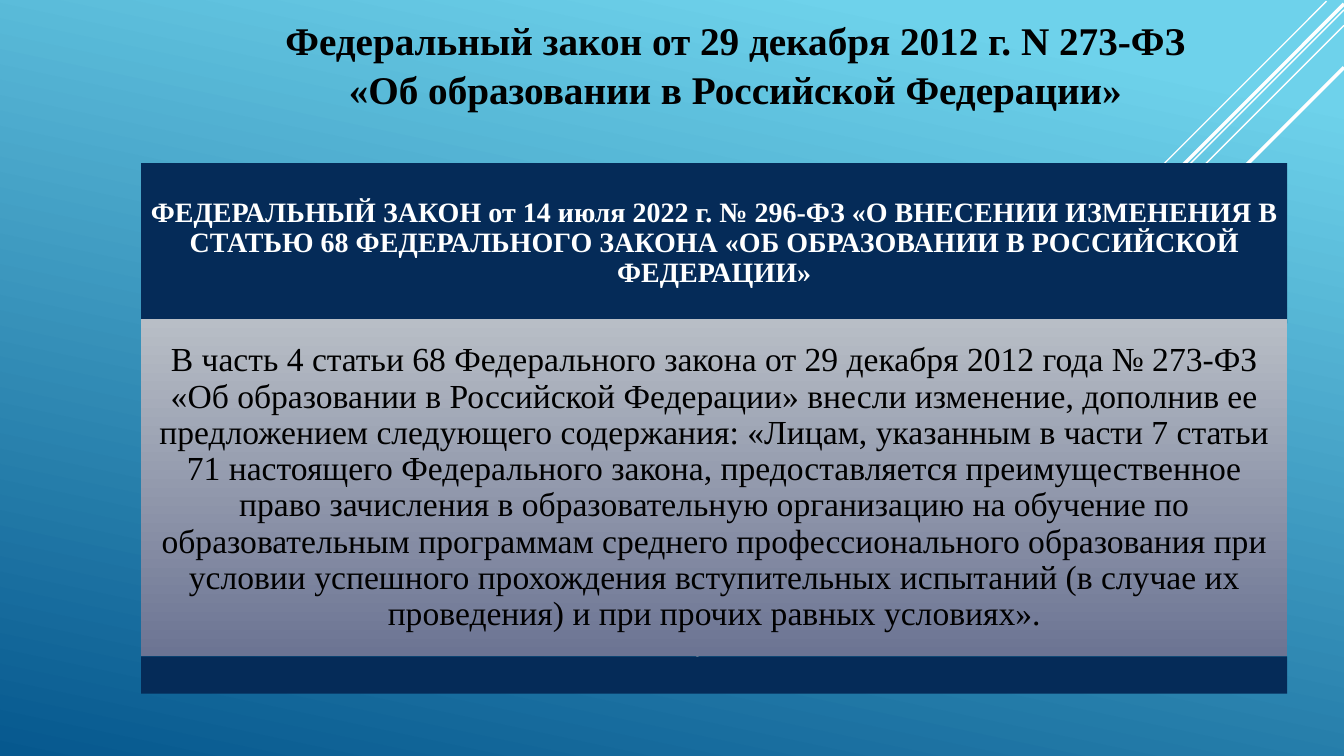
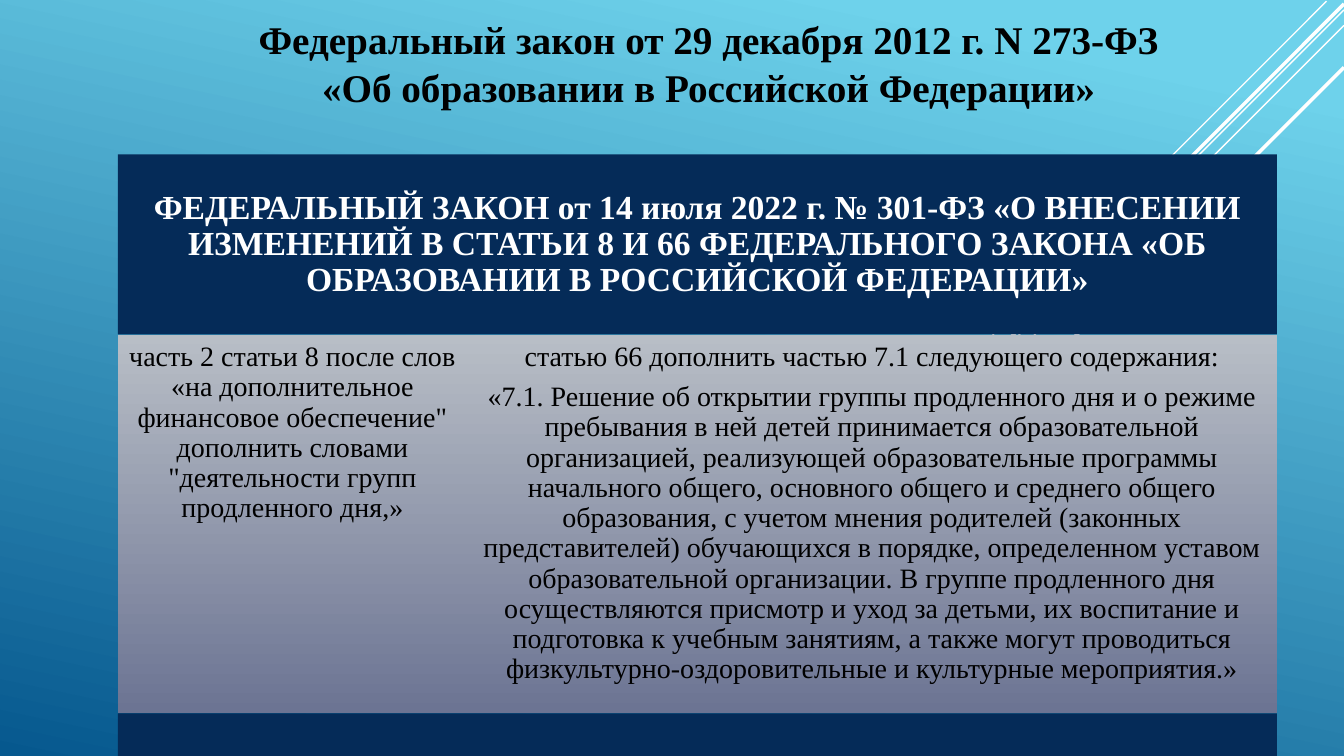
"""Build two slides on amendments to the federal law on education."""
from dataclasses import dataclass
from typing import Sequence

from lxml.etree import SubElement
from pptx import Presentation
from pptx.dml.color import RGBColor
from pptx.dml.fill import FillFormat
from pptx.enum.shapes import MSO_CONNECTOR as Connector, MSO_SHAPE as Shape
from pptx.enum.text import MSO_ANCHOR as Anchor, MSO_AUTO_SIZE as AutoSize, PP_ALIGN as Align
from pptx.oxml.ns import qn
from pptx.slide import Slide
from pptx.text.text import TextFrame
from pptx.util import Cm, Pt

COLORS = {
    "sky": "6ED2EB",
    "sea": "06588E",
    "navy": "052B58",
    "silver": "B8BEC6",
    "slate": "6C7493",
    "white": "FFFFFF",
    "black": "000000",
}
FONT = "Times New Roman"
TITLE_SIZE = 28
TITLE_LINES = (
    "Федеральный закон от 29 декабря 2012 г. N 273-ФЗ",
    "«Об образовании в Российской Федерации»",
)


@dataclass(frozen=True)
class Box:
    left: float
    top: float
    width: float
    height: float

    def lengths(self) -> tuple[Cm, Cm, Cm, Cm]:
        return Cm(self.left), Cm(self.top), Cm(self.width), Cm(self.height)


@dataclass(frozen=True)
class Ray:
    right: float
    top: float
    reach: float
    weight: float


@dataclass(frozen=True)
class Column:
    width: float
    paragraphs: Sequence[str]


@dataclass(frozen=True)
class LawSlide:
    title: Box
    heading: Box
    heading_text: str
    heading_size: int
    body_top: float
    body_height: float
    body_size: int
    body_anchor: Anchor
    columns: Sequence[Column]
    footer_height: float


RAYS = (
    Ray(33.43, 0.03, 10.58, 1),
    Ray(33.87, 0.25, 16.9, 1),
    Ray(33.87, 0.64, 13.77, 1),
    Ray(33.87, 0.1, 13.49, 2.5),
    Ray(33.87, 1.7, 12.07, 2.5),
)

LAWS = (
    LawSlide(
        title=Box(4.65, 0.23, 27.76, 3.1),
        heading=Box(3.56, 4.11, 28.88, 4.04),
        heading_text="ФЕДЕРАЛЬНЫЙ ЗАКОН от 14 июля 2022 г. № 296-ФЗ «О ВНЕСЕНИИ ИЗМЕНЕНИЯ "
        "В СТАТЬЮ 68 ФЕДЕРАЛЬНОГО ЗАКОНА «ОБ ОБРАЗОВАНИИ В РОССИЙСКОЙ ФЕДЕРАЦИИ»",
        heading_size=20,
        body_top=8.05,
        body_height=8.49,
        body_size=24,
        body_anchor=Anchor.MIDDLE,
        columns=(
            Column(28.88, (
                "В часть 4 статьи 68 Федерального закона от 29 декабря 2012 года № 273-ФЗ "
                "«Об образовании в Российской Федерации» внесли изменение, дополнив ее "
                "предложением следующего содержания: «Лицам, указанным в части 7 статьи 71 "
                "настоящего Федерального закона, предоставляется преимущественное право "
                "зачисления в образовательную организацию на обучение по образовательным "
                "программам среднего профессионального образования при условии успешного "
                "прохождения вступительных испытаний (в случае их проведения) и при прочих "
                "равных условиях».",
            )),
        ),
        footer_height=0.94,
    ),
    LawSlide(
        title=Box(5.13, 0.2, 25.45, 2.95),
        heading=Box(2.97, 3.89, 29.21, 4.54),
        heading_text="ФЕДЕРАЛЬНЫЙ ЗАКОН от 14 июля 2022 г. № 301-ФЗ «О ВНЕСЕНИИ ИЗМЕНЕНИЙ "
        "В СТАТЬИ 8 И 66 ФЕДЕРАЛЬНОГО ЗАКОНА «ОБ ОБРАЗОВАНИИ В РОССИЙСКОЙ ФЕДЕРАЦИИ»",
        heading_size=24,
        body_top=8.43,
        body_height=9.55,
        body_size=20,
        body_anchor=Anchor.TOP,
        columns=(
            Column(8.8, (
                "часть 2 статьи 8 после слов «на дополнительное финансовое обеспечение\" "
                "дополнить словами \"деятельности групп продленного дня,»",
            )),
            Column(20.41, (
                "статью 66 дополнить частью 7.1 следующего содержания:",
                "«7.1. Решение об открытии группы продленного дня и о режиме пребывания в ней "
                "детей принимается образовательной организацией, реализующей образовательные "
                "программы начального общего, основного общего и среднего общего образования, "
                "с учетом мнения родителей (законных представителей) обучающихся в порядке, "
                "определенном уставом образовательной организации. В группе продленного дня "
                "осуществляются присмотр и уход за детьми, их воспитание и подготовка к учебным "
                "занятиям, а также могут проводиться физкультурно-оздоровительные и культурные "
                "мероприятия.»",
            )),
        ),
        footer_height=1.07,
    ),
)


def color(name: str) -> RGBColor:
    return RGBColor.from_string(COLORS[name])


def fill_gradient(fill: FillFormat, names: Sequence[str], start: float, angle: float) -> None:
    fill.gradient()
    fill.gradient_angle = angle
    for stop, name, position in zip(fill.gradient_stops, names, (start, 1)):
        stop.color.rgb = color(name)
        stop.position = position


def add_text(frame: TextFrame, paragraphs: Sequence[str], size: int, ink: str, bold: bool) -> None:
    for index, text in enumerate(paragraphs):
        paragraph = frame.add_paragraph() if index else frame.paragraphs[0]
        paragraph.alignment = Align.CENTER
        paragraph.line_spacing = 0.9
        paragraph.space_after = Pt(size * 0.35)
        add_run(paragraph, text, size, ink, bold)


def add_run(paragraph, text: str, size: int, ink: str, bold: bool) -> None:
    run = paragraph.add_run()
    run.text = text
    run.font.name = FONT
    run.font.size = Pt(size)
    run.font.bold = bold
    run.font.color.rgb = color(ink)


def add_panel(slide: Slide, box: Box, fills: Sequence[str], paragraphs: Sequence[str] = (),
              size: int = 20, ink: str = "white", anchor: Anchor = Anchor.MIDDLE) -> None:
    shape = slide.shapes.add_shape(Shape.RECTANGLE, *box.lengths())
    shape.shadow.inherit = False
    shape.line.fill.background()
    if len(fills) > 1:
        fill_gradient(shape.fill, fills, 0, 270)
    else:
        shape.fill.solid()
        shape.fill.fore_color.rgb = color(fills[0])
    frame = shape.text_frame
    frame.word_wrap = True
    frame.vertical_anchor = anchor
    inset = Cm(size * 0.01)
    frame.margin_left = frame.margin_right = frame.margin_top = frame.margin_bottom = inset
    add_text(frame, paragraphs, size, ink, bold=ink == "white")


def add_ray(slide: Slide, ray: Ray) -> None:
    connector = slide.shapes.add_connector(
        Connector.STRAIGHT, Cm(ray.right), Cm(ray.top),
        Cm(ray.right - ray.reach), Cm(ray.top + ray.reach))
    connector.line.color.rgb = color("white")
    connector.line.width = Pt(ray.weight)
    SubElement(connector._element.spPr, qn("a:effectLst"))


def set_title(slide: Slide, box: Box) -> None:
    title = slide.shapes.title
    title.left, title.top, title.width, title.height = box.lengths()
    frame = title.text_frame
    frame.word_wrap = True
    frame.auto_size = AutoSize.NONE
    frame.vertical_anchor = Anchor.TOP
    paragraph = frame.paragraphs[0]
    paragraph.alignment = Align.CENTER
    paragraph.line_spacing = 1.04
    for index, line in enumerate(TITLE_LINES):
        if index:
            paragraph.add_line_break()
        add_run(paragraph, line, TITLE_SIZE, "black", True)


def add_law(presentation: Presentation, law: LawSlide) -> None:
    slide = presentation.slides.add_slide(presentation.slide_layouts[5])
    set_title(slide, law.title)
    for ray in RAYS:
        add_ray(slide, ray)
    heading = law.heading
    add_panel(slide, heading, ["navy"], [law.heading_text], law.heading_size)
    left = heading.left
    for column in law.columns:
        box = Box(left, law.body_top, column.width, law.body_height)
        add_panel(slide, box, ["silver", "slate"], column.paragraphs,
                  law.body_size, "black", law.body_anchor)
        left += column.width
    footer_top = law.body_top + law.body_height
    add_panel(slide, Box(heading.left, footer_top, heading.width, law.footer_height), ["navy"])


def main() -> None:
    presentation = Presentation()
    presentation.slide_width, presentation.slide_height = Cm(33.87), Cm(19.05)
    fill_gradient(presentation.slide_master.background.fill, ["sky", "sea"], 0.1, 258)
    for law in LAWS:
        add_law(presentation, law)
    presentation.save("out.pptx")


if __name__ == "__main__":
    main()
